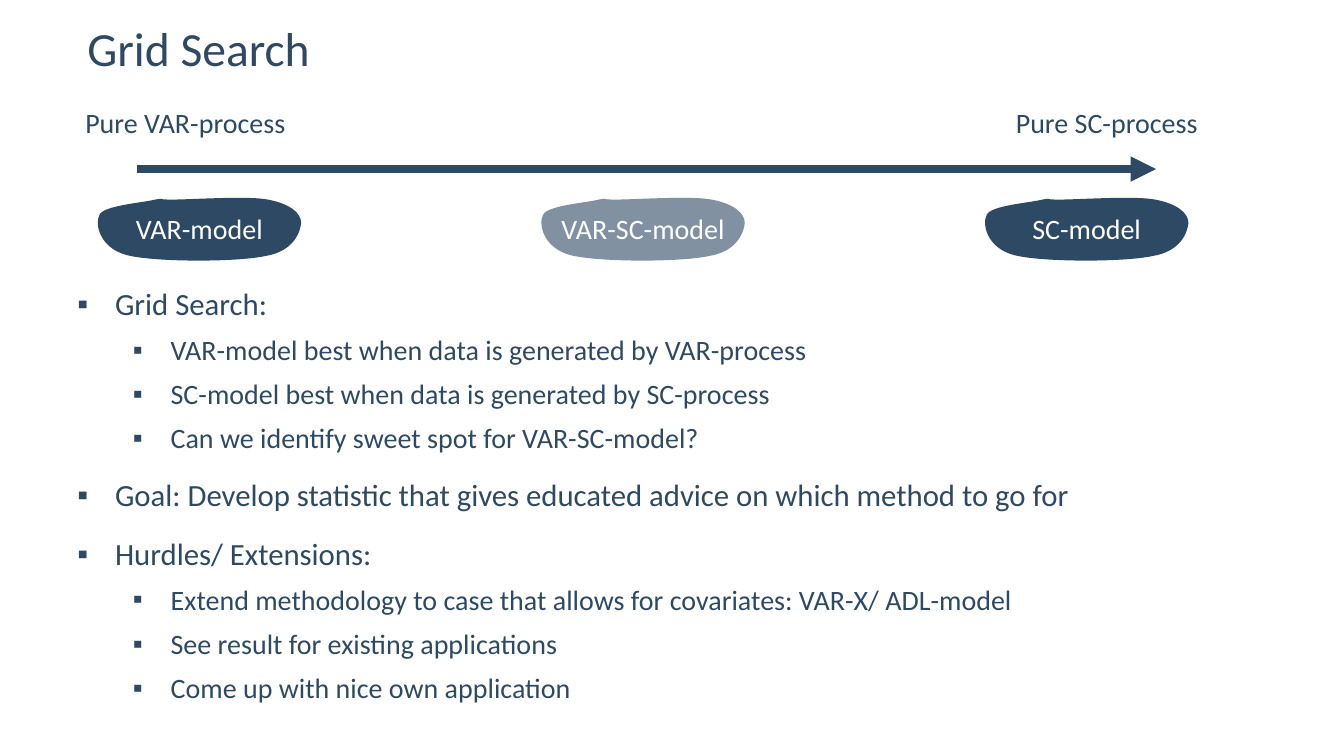
"""Build the Grid Search slide."""
from lxml.etree import SubElement
from pptx import Presentation
from pptx.dml.color import RGBColor
from pptx.enum.shapes import MSO_CONNECTOR as Link
from pptx.enum.text import MSO_ANCHOR as Anchor, MSO_AUTO_SIZE as Auto, PP_ALIGN as Align
from pptx.oxml.ns import qn
from pptx.util import Cm, Pt

NAVY, WHITE = "2E4964", "FFFFFF"
TITLE = "Grid Search"
LABELS = [("Pure VAR-process", 1.95, 11.15, True), ("Pure SC-process", 25.4, 5.03, False)]
MODELS = [("VAR-model", 100), ("VAR-SC-model", 60), ("SC-model", 100)]
POINTS = [
    ("Grid Search:", [
        "VAR-model best when data is generated by VAR-process",
        "SC-model best when data is generated by SC-process",
        "Can we identify sweet spot for VAR-SC-model?"]),
    ("Goal: Develop statistic that gives educated advice on which method to go for", []),
    ("Hurdles/ Extensions:", [
        "Extend methodology to case that allows for covariates: VAR-X/ ADL-model",
        "See result for existing applications",
        "Come up with nice own application"]),
]
HEAD = {"level": 0, "size": 22, "gap": 18, "left": 0.95}
SUB = {"level": 2, "size": 20, "gap": 10, "left": 2.35}
HANG = 0.95
START = (1.88, 0.05)
CURVES = [
    ((1.4, 0.05), (1.75, 0), (1.45, 0.05)),
    ((1.14, 0.13), (0.15, 0.2), (0.05, 0.43)),
    ((-0.08, 0.66), (0.05, 1.27), (0.74, 1.45)),
    ((1.45, 1.63), (3.51, 1.63), (4.24, 1.47)),
    ((4.95, 1.35), (5.11, 0.86), (5.13, 0.64)),
    ((5.13, 0.38), (4.83, 0.15), (4.29, 0.05)),
    ((3.78, -0.05), (2.36, 0.05), START),
]
BLOB_X, BLOB_Y, BLOB_W, BLOB_H, BLOB_STEP = 2.46, 4.98, 5.13, 1.57, 11.18


def color(hexa):
    return RGBColor.from_string(hexa)


def apply(obj, form):
    for name, value in form.items():
        setattr(obj, name, value)


def place(shape, *box):
    apply(shape, dict(zip(("left", "top", "width", "height"), map(Cm, box))))


def pad(frame, inset, **form):
    edges = ("left", "top", "right", "bottom")
    apply(frame, {f"margin_{edge}": Cm(inset) for edge in edges} | form)


def write(para, text, size, hexa=NAVY, **form):
    run = para.add_run()
    run.text = text
    apply(run.font, {"name": "Calibri", "size": Pt(size)})
    run.font.color.rgb = color(hexa)
    apply(para, form)


def bend(blob):
    trace = blob._element.find(".//" + qn("a:path"))
    apply(trace, {"w": Cm(BLOB_W), "h": Cm(BLOB_H)})
    moves = [trace.find(qn("a:moveTo"))] + trace.findall(qn("a:lnTo"))
    for move, dots in zip(moves, [(START,)] + CURVES):
        if len(dots) > 1:
            move.tag = qn("a:cubicBezTo")
        for dot in list(move):
            move.remove(dot)
        for x, y in dots:
            SubElement(move, qn("a:pt"), x=str(Cm(x)), y=str(Cm(y)))


def add_blob(slide, left, text, alpha):
    pen = slide.shapes.build_freeform(*map(Cm, START))
    pen.add_line_segments([tuple(map(Cm, curve[-1])) for curve in CURVES], close=True)
    blob = pen.convert_to_shape()
    bend(blob)
    place(blob, left, BLOB_Y, BLOB_W, BLOB_H)
    blob.shadow.inherit = False
    blob.fill.solid()
    blob.fill.fore_color.rgb = color(NAVY)
    blob.line.fill.background()
    if alpha < 100:
        tint = blob.fill._xPr.find(".//" + qn("a:srgbClr"))
        SubElement(tint, qn("a:alpha"), val=str(alpha * 1000))
    frame = blob.text_frame
    pad(frame, 0.2, vertical_anchor=Anchor.MIDDLE, word_wrap=True)
    write(frame.paragraphs[0], text, 20, WHITE, alignment=Align.CENTER)


def add_arrow(slide):
    arrow = slide.shapes.add_connector(
        Link.STRAIGHT, Cm(3.45), Cm(4.26), Cm(29.13), Cm(4.26))
    arrow.line.width = Pt(6)
    arrow.line.color.rgb = color(NAVY)
    SubElement(arrow.line._get_or_add_ln(), qn("a:tailEnd"), type="triangle")
    SubElement(arrow._element.spPr, qn("a:effectLst"))


def add_point(para, text, form):
    write(para, text, form["size"], level=form["level"], line_spacing=0.9,
          space_before=Pt(form["gap"]), space_after=Pt(0))
    props = para._p.get_or_add_pPr()
    props.set("marL", str(Cm(form["left"])))
    props.set("indent", str(-Cm(HANG)))
    SubElement(props, qn("a:buChar"), char="▪")


def main():
    deck = Presentation()
    apply(deck, {"slide_width": Cm(33.87), "slide_height": Cm(19.05)})
    slide = deck.slides.add_slide(deck.slide_layouts[1])
    title, body = slide.placeholders

    place(title, 1.95, 0.5, 29.97, 1.6)
    apply(title.text_frame, {"auto_size": Auto.NONE, "vertical_anchor": Anchor.MIDDLE})
    write(title.text_frame.paragraphs[0], TITLE, 34, alignment=Align.LEFT, line_spacing=0.9)

    place(body, 1.95, 7.28, 30, 8.92)
    frame = body.text_frame
    pad(frame, 0, auto_size=Auto.NONE, vertical_anchor=Anchor.TOP)
    rows = [row for head, subs in POINTS
            for row in [(head, HEAD)] + [(sub, SUB) for sub in subs]]
    for i, (text, form) in enumerate(rows):
        add_point(frame.add_paragraph() if i else frame.paragraphs[0], text, form)

    for text, left, width, wrap in LABELS:
        box = slide.shapes.add_textbox(Cm(left), Cm(2.46), Cm(width), Cm(1.3))
        pad(box.text_frame, 0.2, word_wrap=wrap)
        write(box.text_frame.paragraphs[0], text, 20)

    add_arrow(slide)
    for i, (text, alpha) in enumerate(MODELS):
        add_blob(slide, BLOB_X + i * BLOB_STEP, text, alpha)
    deck.save("out.pptx")


if __name__ == "__main__":
    main()
